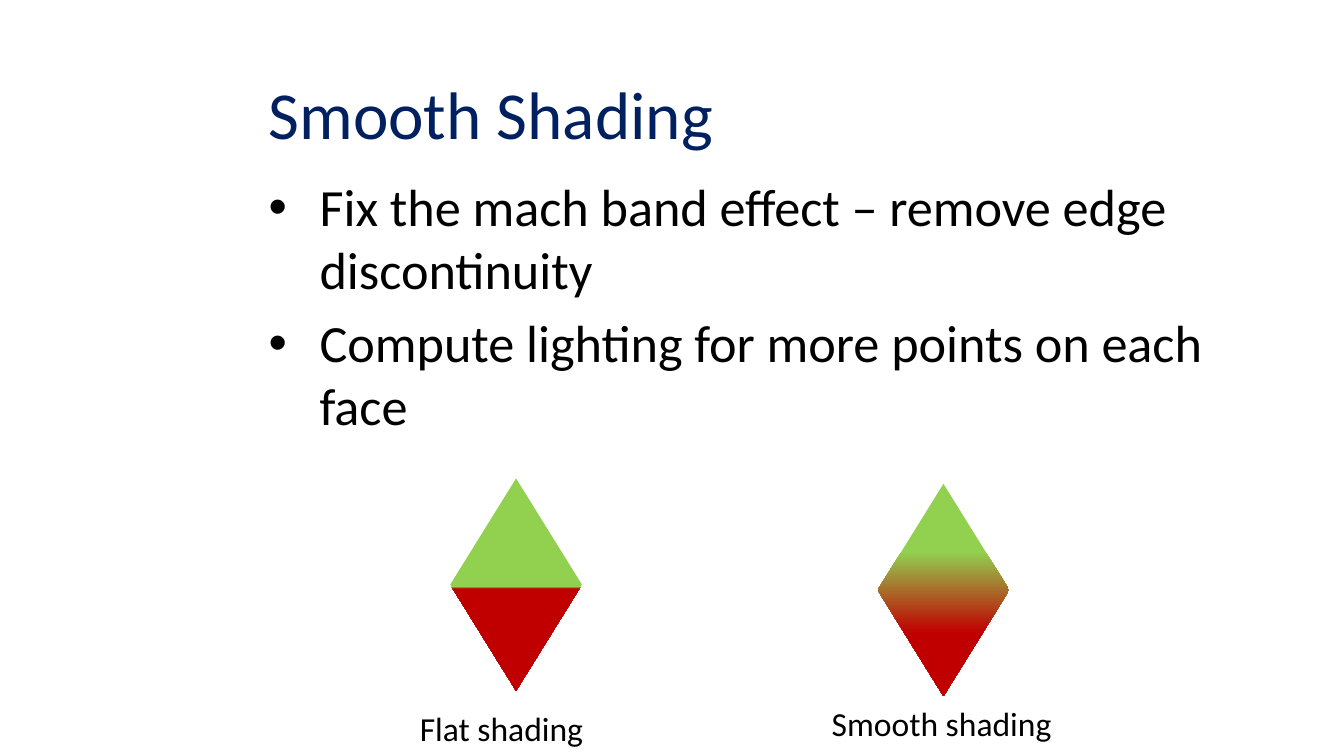
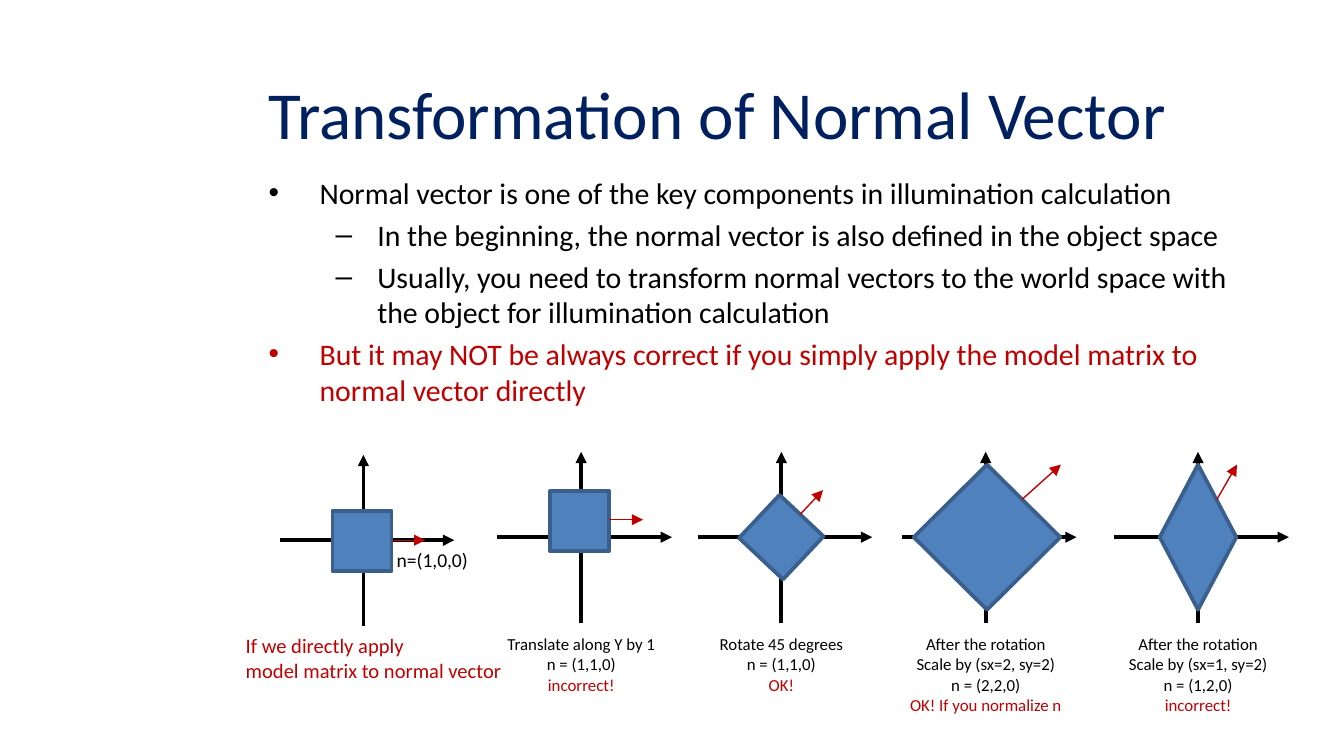
from lxml.etree import SubElement as Sub
from pptx import Presentation
from pptx.dml.color import RGBColor
from pptx.enum.shapes import MSO_CONNECTOR as Link, MSO_SHAPE as Form
from pptx.enum.text import MSO_ANCHOR as Anchor, PP_ALIGN as Align
from pptx.oxml.ns import qn
from pptx.util import Inches, Pt

FONT = "Calibri"
NAVY, BLACK, RED = "002060", "000000", "C00000"
GREEN, BLUE, EDGE = "92D050", "4F81BD", "3A5F8C"
WIDE = 10
HIGH = WIDE * 9 / 16
CELL = WIDE / 100
TITLE = (19, 4.4, 74.4, 7.9)
BODY = (19, 12.5, 74.7, 38.8)
MARKS = [("•", 0.38, -0.38), ("–", 0.81, -0.31)]


def color(code):
    """Turn a hex string into a colour."""
    return RGBColor.from_string(code)


def grid(*cells):
    """Turn grid cells into lengths."""
    return [Inches(n * CELL) for n in cells]


def write(para, text, size, code):
    """Add one run to a paragraph."""
    run = para.add_run()
    run.text = text
    run.font.name = FONT
    run.font.size = Pt(size)
    run.font.color.rgb = color(code)


def frame(slide, box, wrap=True):
    """Add a text box and return its frame."""
    area = slide.shapes.add_textbox(*grid(*box)).text_frame
    area.word_wrap = wrap
    return area


def paras(area, count):
    """Return the first paragraph and as many more as needed."""
    return [area.paragraphs[0]] + [area.add_paragraph() for _ in range(count - 1)]


def title(slide, text):
    """Place the slide title."""
    area = frame(slide, TITLE)
    area.vertical_anchor = Anchor.MIDDLE
    write(area.paragraphs[0], text, 36, NAVY)


def body(slide, size, items):
    """Place the bulleted text from (level, text, colour) items."""
    area = frame(slide, BODY)
    for i, (para, item) in enumerate(zip(paras(area, len(items)), items)):
        level, text, code = item
        mark, left, hang = MARKS[level]
        para.level = level
        para.space_before = Pt(size * 0.2 if i else 0)
        props = para._p.get_or_add_pPr()
        props.set("marL", str(Inches(left)))
        props.set("indent", str(Inches(hang)))
        Sub(props, qn("a:buFont")).set("typeface", "Arial")
        Sub(props, qn("a:buChar")).set("char", mark)
        write(para, text, size, code)


def label(slide, box, size, lines, align=Align.LEFT):
    """Place unwrapped lines of (text, colour)."""
    area = frame(slide, box, False)
    for para, (text, code) in zip(paras(area, len(lines)), lines):
        para.alignment = align
        write(para, text, size, code)


def shape(slide, form, box):
    """Add a plain shape without shadow."""
    item = slide.shapes.add_shape(form, *grid(*box))
    item.shadow.inherit = False
    return item


def arrow(slide, start, end, code, width):
    """Draw a straight arrow."""
    item = slide.shapes.add_connector(Link.STRAIGHT, *grid(*start, *end))
    item.line.color.rgb = color(code)
    item.line.width = Pt(width)
    Sub(item.line._get_or_add_ln(), qn("a:tailEnd")).set("type", "triangle")
    Sub(item._element.spPr, qn("a:effectLst"))


def blend(item, stops):
    """Fill a shape from top to bottom with (percent, colour) stops."""
    item.fill.gradient()
    grad = item._element.spPr.find(qn("a:gradFill"))
    for child in list(grad):
        grad.remove(child)
    group = Sub(grad, qn("a:gsLst"))
    for part, code in stops:
        stop = Sub(group, qn("a:gs"), pos=str(part * 1000))
        Sub(stop, qn("a:srgbClr"), val=code)
    Sub(grad, qn("a:lin"), ang="5400000", scaled="0")


def sample(slide, box, turn, name, width, shift, drop):
    """Place a shaded diamond with its name below."""
    x, y, w, h = box
    gem = shape(slide, Form.DIAMOND, box)
    gem.line.fill.background()
    first, last = turn
    blend(gem, [(0, GREEN), (first, GREEN), (last, RED), (99, RED)])
    spot = (x + w / 2 + shift - width / 2, y + h + drop, width, 4)
    label(slide, spot, 18, [(name, BLACK)])


def figure(slide, box, form, size, normal, lift=(0, 0), turn=0):
    """Draw axes, a solid and its normal, and return the origin."""
    x, y, w, h = box
    mid, row = x + w * 0.48, y + h / 2
    arrow(slide, (x, row), (x + w, row), BLACK, 2)
    arrow(slide, (mid, y + h), (mid, y), BLACK, 2)
    wide, high = size
    spot = (mid + lift[0] - wide / 2, row + lift[1] - high / 2, wide, high)
    solid = shape(slide, form, spot)
    solid.rotation = turn
    solid.fill.solid()
    solid.fill.fore_color.rgb = color(BLUE)
    solid.line.color.rgb = color(EDGE)
    solid.line.width = Pt(2)
    ends = [(mid + dx, row + dy) for dx, dy in normal]
    arrow(slide, *ends, RED, 0.75)
    return mid, row


def smooth(slide):
    """Build the shading slide."""
    title(slide, "Smooth Shading")
    body(slide, 28, [
        (0, "Fix the mach band effect – remove edge discontinuity", BLACK),
        (0, "Compute lighting for more points on each face", BLACK),
    ])
    sample(slide, (65.3, 36, 9.8, 15.8), (32, 70), "Smooth shading", 18.6, 0, 0)
    sample(slide, (33.5, 35.6, 9.8, 15.8), (51, 52), "Flat shading", 14.3, -1, 0.8)


def vector(slide):
    """Build the normal vector slide."""
    title(slide, "Transformation of Normal Vector")
    body(slide, 16, [
        (0, "Normal vector is one of the key components in illumination "
            "calculation", BLACK),
        (1, "In the beginning, the normal vector is also defined in the "
            "object space", BLACK),
        (1, "Usually, you need to transform normal vectors to the world space "
            "with the object for illumination calculation", BLACK),
        (0, "But it may NOT be always correct if you simply apply the model "
            "matrix to normal vector directly", RED),
    ])
    cube = (4.4, 4.5)
    mid, row = figure(slide, (20.8, 33.85, 13, 12.7), Form.RECTANGLE, cube,
                      [(2.1, 0), (4.6, 0)], (-0.1, 0.05))
    label(slide, (mid + 1.5, row + 0.1, 7.4, 2.8), 10.5, [("n=(1,0,0)", BLACK)])
    label(slide, (17.3, 46.6, 21.2, 4.7), 11, [
        ("If we directly apply", RED), ("model matrix to normal vector", RED)])
    spin = "After the rotation"
    cases = [
        (37, Form.RECTANGLE, cube, [(2.1, -1.3), (4.6, -1.3)], (-0.1, -1.2), 0,
         13.2, ["Translate along Y by 1", "n = (1,1,0)", "incorrect!"]),
        (51.9, Form.RECTANGLE, cube, [(1.4, -1.7), (3.1, -3.5)], (0, 0), 313.3,
         11.3, ["Rotate 45 degrees", "n = (1,1,0)", "OK!"]),
        (67.1, Form.DIAMOND, (10.9, 10.8), [(2.7, -2.8), (5.6, -5.4)], (0.1, 0), 0,
         13.4, [spin, "Scale by (sx=2, sy=2)", "n = (2,2,0)",
                "OK! If you normalize n"]),
        (82.9, Form.DIAMOND, (5.7, 10.8), [(1.4, -2.8), (2.9, -5.4)], (0, 0), 0,
         12.5, [spin, "Scale by (sx=1, sy=2)", "n = (1,2,0)", "incorrect!"]),
    ]
    for left, form, size, normal, lift, turn, width, lines in cases:
        mid, row = figure(slide, (left, 33.62, 13, 12.7), form, size, normal,
                          lift, turn)
        codes = [BLACK] * (len(lines) - 1) + [RED]
        spot = (mid - width / 2, row + 6.7, width, 1 + 1.53 * len(lines))
        label(slide, spot, 9, list(zip(lines, codes)), Align.CENTER)


def main():
    """Build and save the deck."""
    deck = Presentation()
    deck.slide_width, deck.slide_height = Inches(WIDE), Inches(HIGH)
    for build in (smooth, vector):
        build(deck.slides.add_slide(deck.slide_layouts[6]))
    deck.save("out.pptx")


if __name__ == "__main__":
    main()
